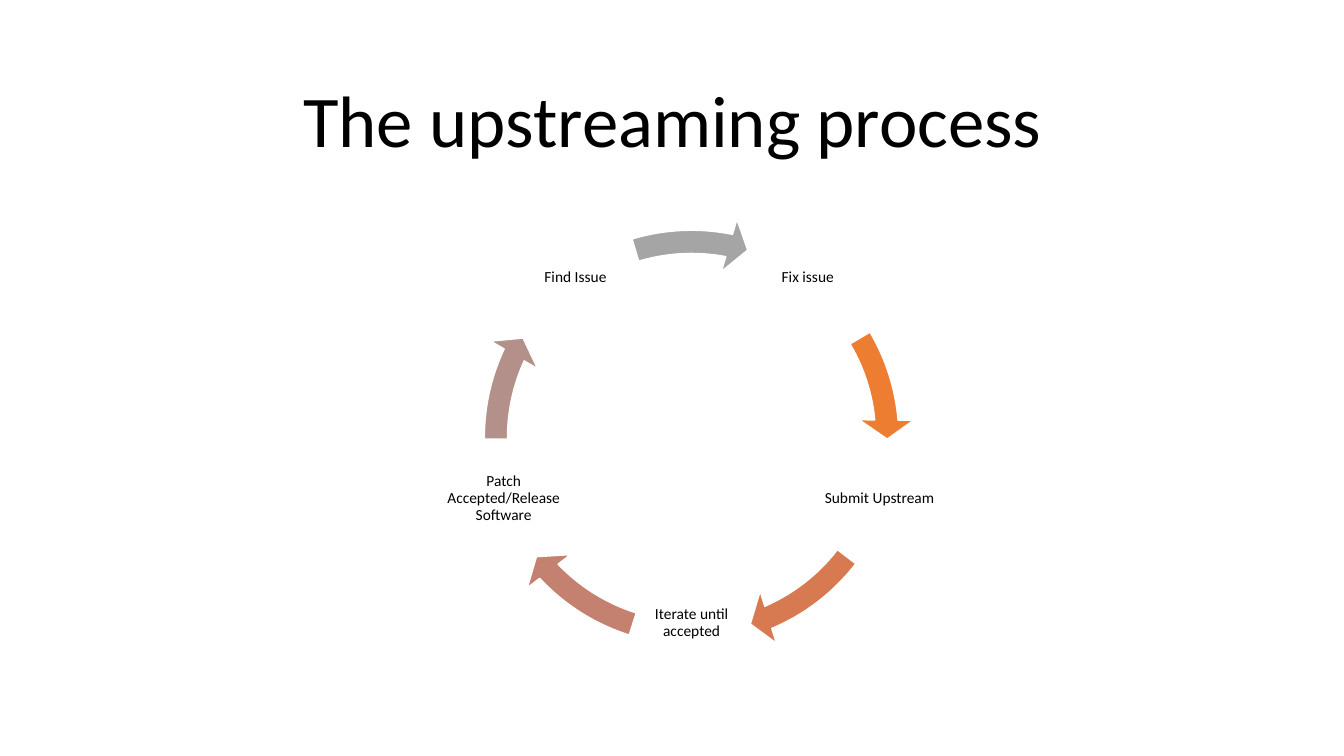
import dataclasses
import math

import pptx
import pptx.dml.color
import pptx.enum.shapes
import pptx.enum.text
import pptx.shapes.autoshape
import pptx.slide
import pptx.util


@dataclasses.dataclass(frozen=True)
class Theme:
    font: str = "Calibri"
    ink: str = "000000"
    outline: str = "FFFFFF"
    title_size: int = 52
    label_size: int = 11
    outline_width: int = 1
    line_spacing: float = 0.9


@dataclasses.dataclass(frozen=True)
class Area:
    left: int
    top: int
    width: int
    height: int


@dataclasses.dataclass(frozen=True)
class Step:
    label: str
    color: str
    tail_angle: float
    head_angle: float
    bottom_inset: float = 0.02


THEME = Theme()
SLIDE_WIDTH = pptx.util.Inches(13.33)
SLIDE_HEIGHT = pptx.util.Inches(7.5)


def across(percent: float) -> int:
    return round(SLIDE_WIDTH * percent / 100)


def down(percent: float) -> int:
    return round(SLIDE_HEIGHT * percent / 100)


TITLE_AREA = Area(across(6.9), down(8.13), across(86.27), down(16.53))
CENTER_X = across(51.46)
CENTER_Y = down(57.87)
RING_SIZE = down(58.93)
LABEL_SIZE = down(15.73)
LABEL_ORBIT = down(26.13)
FIRST_LABEL_ANGLE = -54

ARROW_THICKNESS = 0.052
ARROW_HEAD_SWEEP = 5.6
ARROW_HEAD_WIDTH = 0.061
ADJUSTMENT_PER_DEGREE = 0.6

STEPS = [
    Step("Fix issue", "ED7D31", 329.45, 354.88),
    Step("Submit Upstream", "D87A51", 37.57, 66.9),
    Step("Iterate until accepted", "C48170", 107.5, 136.83, bottom_inset=0.26),
    Step("Patch Accepted/Release Software", "B4908B", 179.52, 204.95),
    Step("Find Issue", "A5A5A5", 253.32, 281.08),
]


def rgb(color: str) -> pptx.dml.color.RGBColor:
    return pptx.dml.color.RGBColor.from_string(color)


def square_around(x: int, y: int, size: int) -> Area:
    return Area(x - size // 2, y - size // 2, size, size)


def add_text(
    page: pptx.slide.Slide,
    text: str,
    area: Area,
    *,
    size: int,
    inset: float,
    bottom_inset: float,
) -> None:
    box = page.shapes.add_textbox(area.left, area.top, area.width, area.height)
    frame = box.text_frame
    frame.word_wrap = True
    frame.vertical_anchor = pptx.enum.text.MSO_ANCHOR.MIDDLE
    frame.margin_left = frame.margin_right = frame.margin_top = pptx.util.Inches(inset)
    frame.margin_bottom = pptx.util.Inches(bottom_inset)
    para = frame.paragraphs[0]
    para.alignment = pptx.enum.text.PP_ALIGN.CENTER
    para.line_spacing = THEME.line_spacing
    span = para.add_run()
    span.text = text
    span.font.name = THEME.font
    span.font.size = pptx.util.Pt(size)
    span.font.color.rgb = rgb(THEME.ink)


def add_arrow(page: pptx.slide.Slide, step: Step) -> pptx.shapes.autoshape.Shape:
    area = square_around(CENTER_X, CENTER_Y, RING_SIZE)
    arrow = page.shapes.add_shape(
        pptx.enum.shapes.MSO_SHAPE.CIRCULAR_ARROW,
        area.left, area.top, area.width, area.height,
    )
    settings = [
        ARROW_THICKNESS,
        ARROW_HEAD_SWEEP * ADJUSTMENT_PER_DEGREE,
        step.head_angle * ADJUSTMENT_PER_DEGREE,
        step.tail_angle * ADJUSTMENT_PER_DEGREE,
        ARROW_HEAD_WIDTH,
    ]
    for index, setting in enumerate(settings):
        arrow.adjustments[index] = setting
    arrow.shadow.inherit = False
    arrow.fill.solid()
    arrow.fill.fore_color.rgb = rgb(step.color)
    arrow.line.color.rgb = rgb(THEME.outline)
    arrow.line.width = pptx.util.Pt(THEME.outline_width)
    return arrow


def add_step(page: pptx.slide.Slide, step: Step, angle: float) -> None:
    x = round(CENTER_X + LABEL_ORBIT * math.cos(math.radians(angle)))
    y = round(CENTER_Y + LABEL_ORBIT * math.sin(math.radians(angle)))
    add_text(
        page, step.label, square_around(x, y, LABEL_SIZE),
        size=THEME.label_size, inset=0.02, bottom_inset=step.bottom_inset,
    )
    add_arrow(page, step)


def main() -> None:
    deck = pptx.Presentation()
    deck.slide_width = SLIDE_WIDTH
    deck.slide_height = SLIDE_HEIGHT
    page = deck.slides.add_slide(deck.slide_layouts[6])
    add_text(
        page, "The upstreaming process", TITLE_AREA,
        size=THEME.title_size, inset=0.05, bottom_inset=0.05,
    )
    for index, step in enumerate(STEPS):
        add_step(page, step, FIRST_LABEL_ANGLE + index * 360 / len(STEPS))
    deck.save("out.pptx")


if __name__ == "__main__":
    main()
